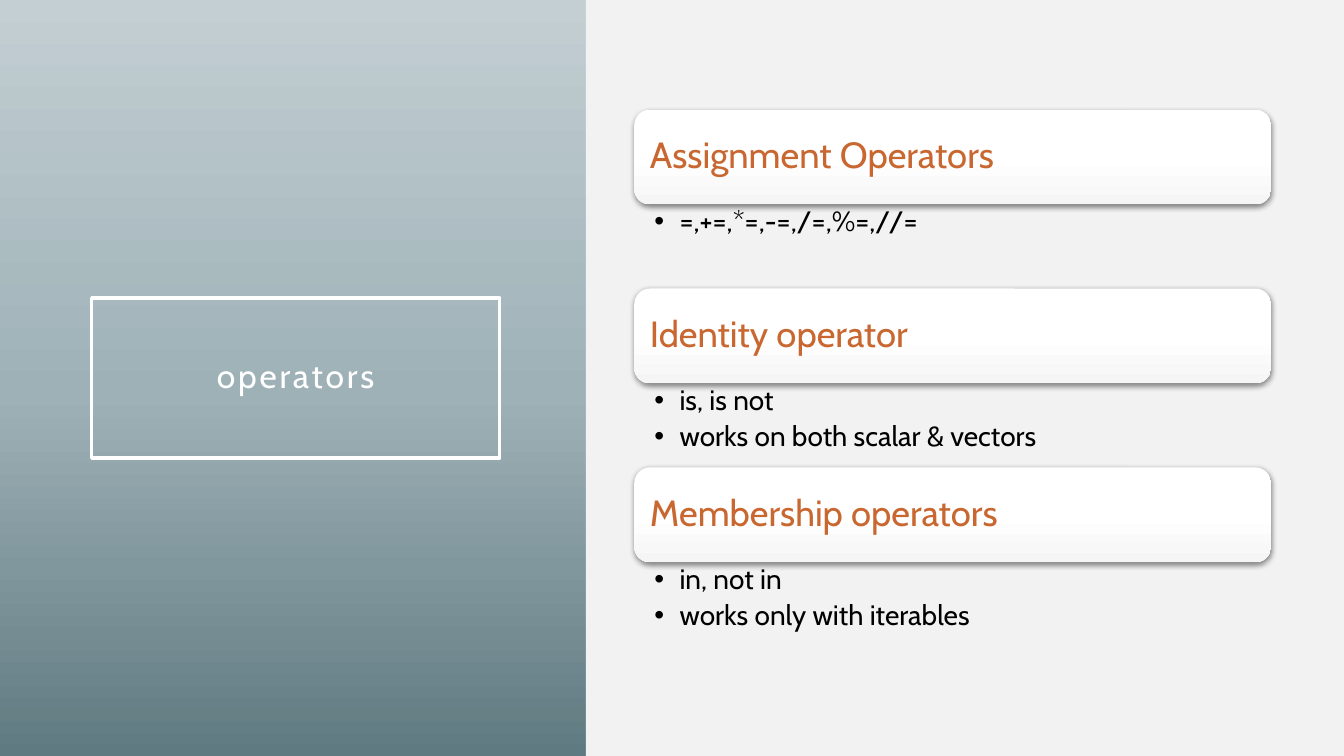
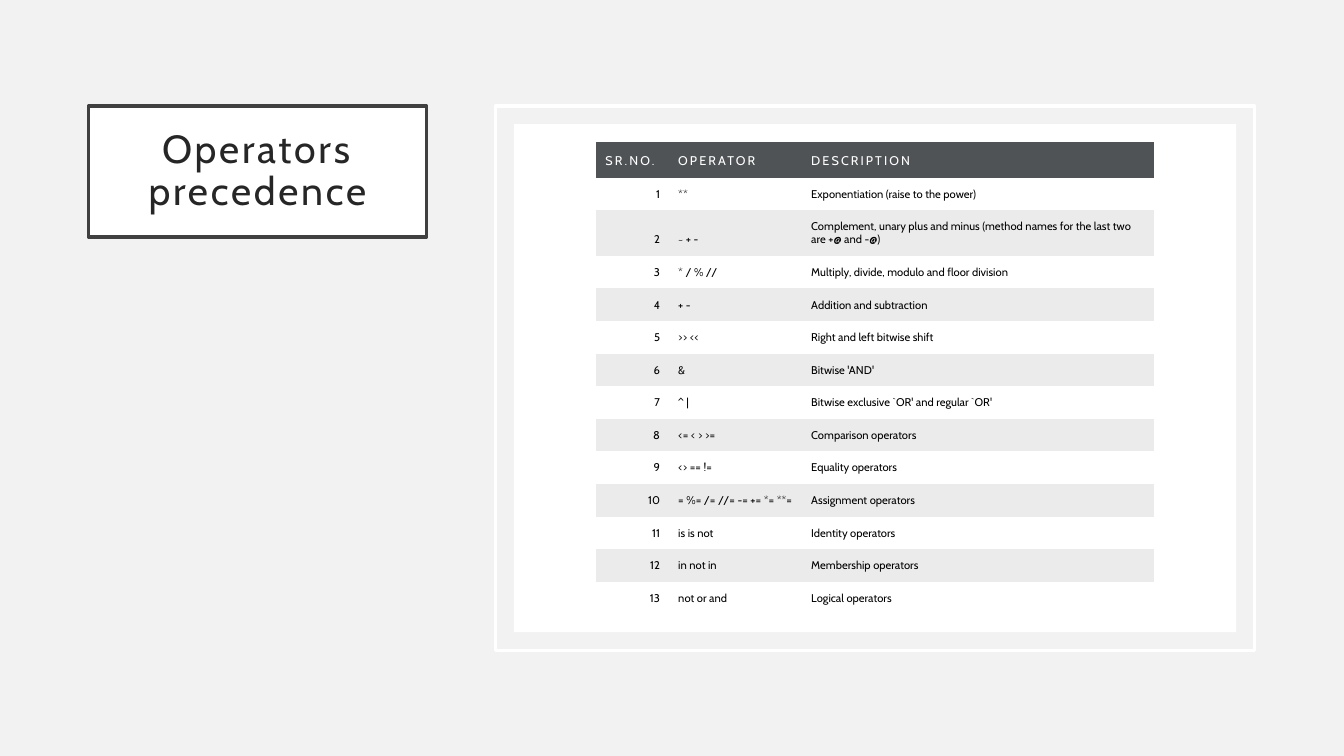
import pptx
import pptx.util
import pptx.dml.color
import pptx.enum.shapes
import pptx.enum.text
import pptx.oxml
import pptx.oxml.ns
import lxml.etree

Pt = pptx.util.Pt
qn = pptx.oxml.ns.qn
SHAPE = pptx.enum.shapes.MSO_SHAPE
ALIGN = pptx.enum.text.PP_ALIGN
ANCHOR = pptx.enum.text.MSO_ANCHOR

FONT = "Cabin"
NO_GRID_STYLE = "{2D5ABB26-0587-4C30-8999-92F81FD0307C}"
COLORS = {
    "white": "FFFFFF", "black": "000000", "ink": "262626", "frame": "404040",
    "page": "F2F2F2", "card_end": "F5F5F5", "accent": "C96731",
    "header": "505356", "band": "EBEBEB",
    "deep": "607A81", "mid": "9EB1B7", "pale": "C3CFD3",
}
SECTIONS = [
    ("Assignment Operators", ["=,+=,*=,-=,/=,%=,//="]),
    ("Identity operator", ["is, is not", "works on both scalar & vectors"]),
    ("Membership operators", ["in, not in", "works only with iterables"]),
]
HEADER = ("SR.NO.", "OPERATOR", "DESCRIPTION")
PRECEDENCE = [
    ("**", "Exponentiation (raise to the power)"),
    ("~ + -", "Complement, unary plus and minus (method names for the "
              "last two are +@ and -@)"),
    ("* / % //", "Multiply, divide, modulo and floor division"),
    ("+ -", "Addition and subtraction"),
    (">> <<", "Right and left bitwise shift"),
    ("&", "Bitwise 'AND'"),
    ("^ |", "Bitwise exclusive `OR' and regular `OR'"),
    ("<= < > >=", "Comparison operators"),
    ("<> == !=", "Equality operators"),
    ("= %= /= //= -= += *= **=", "Assignment operators"),
    ("is is not", "Identity operators"),
    ("in not in", "Membership operators"),
    ("not or and", "Logical operators"),
]


def rgb(name):
    """Return the named colour."""
    return pptx.dml.color.RGBColor.from_string(COLORS[name])


def paint(sp, fill=None, line=None):
    """Set a solid fill and a 2.5 pt line, or none of either."""
    if fill:
        sp.fill.solid()
        sp.fill.fore_color.rgb = rgb(fill)
    else:
        sp.fill.background()
    if line:
        sp.line.color.rgb = rgb(line)
        sp.line.width = Pt(2.5)
    else:
        sp.line.fill.background()


def gradient(fill, element, stops, angle):
    """Give the fill held in element a linear gradient of (percent, colour)."""
    fill.gradient()
    fill.gradient_angle = angle
    gs_list = next(element.iter(qn("a:gsLst")))
    for gs in list(gs_list):
        gs_list.remove(gs)
    for percent, name in stops:
        gs = lxml.etree.SubElement(gs_list, qn("a:gs"), pos=str(percent * 1000))
        lxml.etree.SubElement(gs, qn("a:srgbClr"), val=COLORS[name])


def add_box(s, shape, box, fill=None, line=None):
    """Add a shape without shadow in box (left, top, width, height)."""
    sp = s.shapes.add_shape(shape, *map(Pt, box))
    sp.shadow.inherit = False
    paint(sp, fill, line)
    return sp


def place(sp, box):
    """Move a placeholder into box."""
    sp.left, sp.top, sp.width, sp.height = map(Pt, box)


def set_frame(tf, insets, anchor):
    """Set wrapping, insets (left, top, right, bottom) and anchor."""
    tf.word_wrap = True
    tf.auto_size = pptx.enum.text.MSO_AUTO_SIZE.NONE
    tf.vertical_anchor = anchor
    (tf.margin_left, tf.margin_top,
     tf.margin_right, tf.margin_bottom) = map(Pt, insets)


def write(p, text, size, color, align=ALIGN.LEFT, spacing=0, leading=0.9):
    """Write a paragraph in the deck's font."""
    p.text = text
    p.alignment = align
    p.line_spacing = leading
    p.space_before = Pt(0)
    p.font.name = FONT
    p.font.size = Pt(size)
    p.font.bold = False
    p.font.color.rgb = rgb(color)
    if spacing:
        p._p.pPr.find(qn("a:defRPr")).set("spc", str(int(spacing * 100)))


def set_title(s, text, box, size, color, fill, line):
    """Place the framed, letter-spaced title."""
    sp = s.shapes.title
    place(sp, box)
    paint(sp, fill, line)
    set_frame(sp.text_frame, [14.4] * 4, ANCHOR.MIDDLE)
    write(sp.text_frame.paragraphs[0], text, size, color, ALIGN.CENTER, 2)


def add_card(s, text, box):
    """Add a rounded heading card with a soft shadow."""
    sp = add_box(s, SHAPE.ROUNDED_RECTANGLE, box)
    gradient(sp.fill, sp._element,
             [(0, "white"), (50, "white"), (100, "card_end")], 270)
    effects = next(sp._element.iter(qn("a:effectLst")))
    shadow = lxml.etree.SubElement(
        effects, qn("a:outerShdw"), blurRad=str(Pt(4.4)), dist=str(Pt(1.2)),
        dir="5400000", algn="ctr", rotWithShape="0")
    tint = lxml.etree.SubElement(shadow, qn("a:srgbClr"), val=COLORS["black"])
    lxml.etree.SubElement(tint, qn("a:alpha"), val="45000")
    set_frame(sp.text_frame, [8] * 4, ANCHOR.MIDDLE)
    write(sp.text_frame.paragraphs[0], text, 26, "accent")


def fill_list(sp, items, box):
    """Place a body placeholder and fill it with bullets."""
    place(sp, box)
    tf = sp.text_frame
    set_frame(tf, (14.4, 2, 11.5, 2), ANCHOR.TOP)
    for i, item in enumerate(items):
        p = tf.add_paragraph() if i else tf.paragraphs[0]
        write(p, item, 20, "black")
        p.space_after = Pt(4)
        pPr = p._p.pPr
        pPr.set("marL", str(Pt(18)))
        pPr.set("indent", str(-Pt(18)))
        bullet = pptx.oxml.parse_xml(
            '<a:buChar %s char="\u2022"/>' % pptx.oxml.ns.nsdecls("a"))
        pPr.find(qn("a:defRPr")).addprevious(bullet)


def add_sections(s, box):
    """Stack heading cards, each with its list, in box."""
    x, y, w, h = box
    step, list_h = h / len(SECTIONS), 60
    card_h = step - list_h
    bodies = list(s.placeholders)[1:]
    for i, (heading, items) in enumerate(SECTIONS):
        top = y + i * step
        add_card(s, heading, (x, top, w, card_h))
        fill_list(bodies[i], items, (x, top + card_h, w, list_h))
    for sp in bodies[len(SECTIONS):]:
        sp._element.getparent().remove(sp._element)


def add_table(s, box, widths, heights):
    """Add the banded precedence table at the top of box, centred."""
    x, y, w, _ = box
    rows = [HEADER] + [(str(n), *row) for n, row in enumerate(PRECEDENCE, 1)]
    total = sum(widths)
    table = s.shapes.add_table(
        len(rows), len(widths), Pt(x + (w - total) / 2), Pt(y),
        Pt(total), Pt(sum(heights))).table
    next(table._tbl.iter(qn("a:tableStyleId"))).text = NO_GRID_STYLE
    table.horz_banding = False
    for column, width in zip(table.columns, widths):
        column.width = Pt(width)
    for i, row in enumerate(rows):
        table.rows[i].height = Pt(heights[i])
        for j, text in enumerate(row):
            cell = table.cell(i, j)
            cell.vertical_anchor = ANCHOR.BOTTOM
            cell.margin_left = cell.margin_right = Pt(6.5)
            cell.margin_top = cell.margin_bottom = Pt(6.5)
            p = cell.text_frame.paragraphs[0]
            if i == 0:
                write(p, text, 9, "white", spacing=1.5, leading=1.0)
            else:
                write(p, text, 8, "black", leading=1.0,
                      align=ALIGN.LEFT if j else ALIGN.RIGHT)
            if i % 2:
                cell.fill.background()
            else:
                cell.fill.solid()
                cell.fill.fore_color.rgb = rgb("band" if i else "header")


def add_table_panel(s, box):
    """Add an outlined frame, its white panel and the table inside."""
    x, y, w, h = box
    gap = 13
    add_box(s, SHAPE.RECTANGLE, box, line="white")
    add_box(s, SHAPE.RECTANGLE,
            (x + gap, y + gap, w - 2 * gap, h - 2 * gap), fill="white")
    heights = [25.2, 23.3, 32.4] + [23.3] * (len(PRECEDENCE) - 2)
    add_table(s, (x, y + 2 * gap, w, h - 4 * gap), (52, 95, 251), heights)


def operators_slide(prs):
    """Build the slide with the kinds of operators."""
    s = prs.slides.add_slide(prs.slide_layouts.get_by_name("Comparison"))
    gradient(s.background.fill, s._element,
             [(0, "deep"), (48, "mid"), (100, "pale")], 90)
    panel = add_box(s, SHAPE.RECTANGLE, (418.5, 0, 541.5, 540), fill="page")
    s.shapes._spTree.insert(2, panel._element)
    set_title(s, "operators", (65.5, 213, 291.5, 114), 24, "white",
              None, "white")
    add_sections(s, (453, 78.3, 455, 383.4))


def precedence_slide(prs):
    """Build the slide with the precedence table."""
    s = prs.slides.add_slide(prs.slide_layouts.get_by_name("Title Only"))
    s.background.fill.solid()
    s.background.fill.fore_color.rgb = rgb("page")
    set_title(s, "Operators precedence", (63.2, 75.8, 241.5, 93.6), 28, "ink",
              "white", "frame")
    add_table_panel(s, (354, 75.6, 542, 389))


prs = pptx.Presentation()
prs.slide_width, prs.slide_height = Pt(960), Pt(540)
operators_slide(prs)
precedence_slide(prs)
prs.save("out.pptx")
